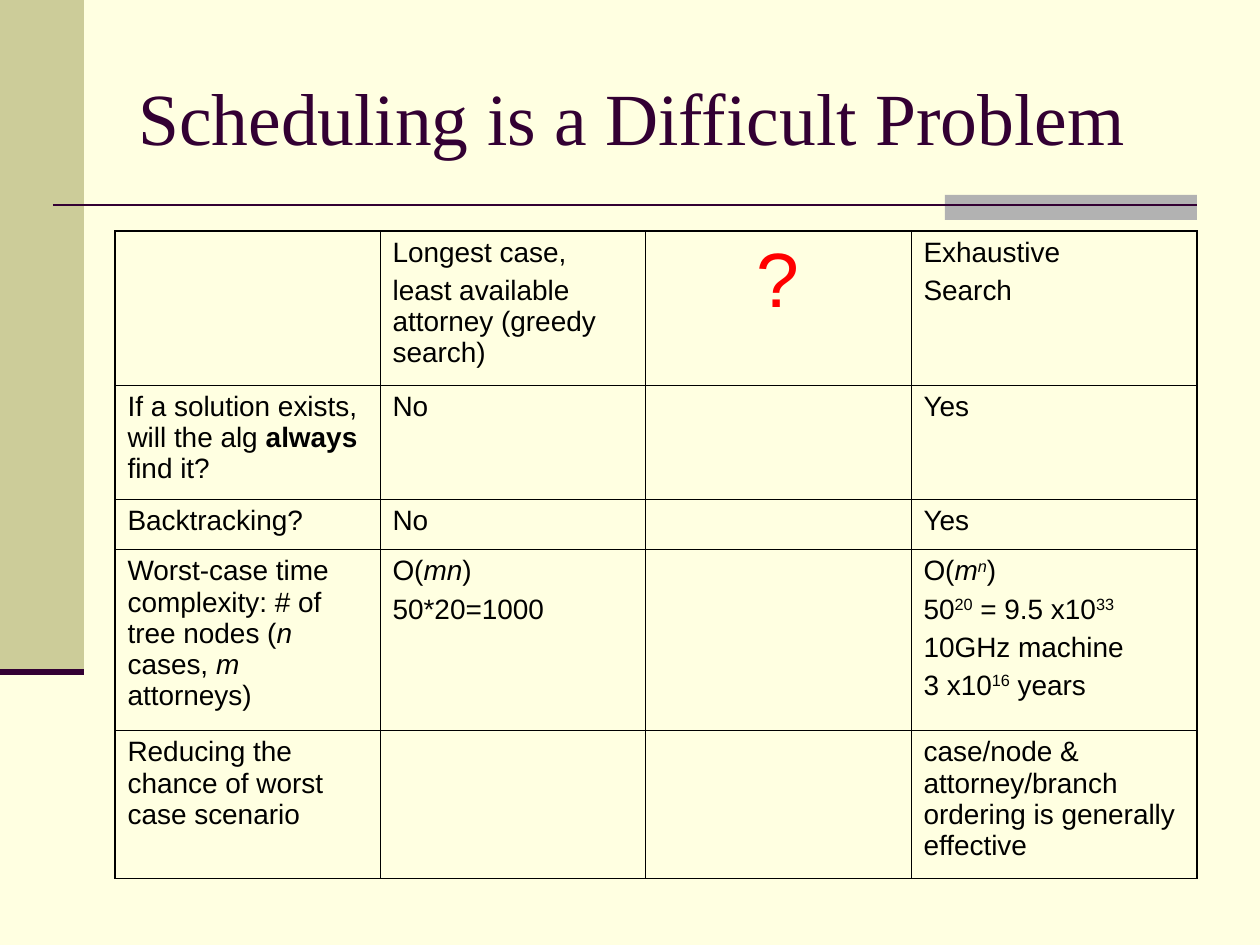
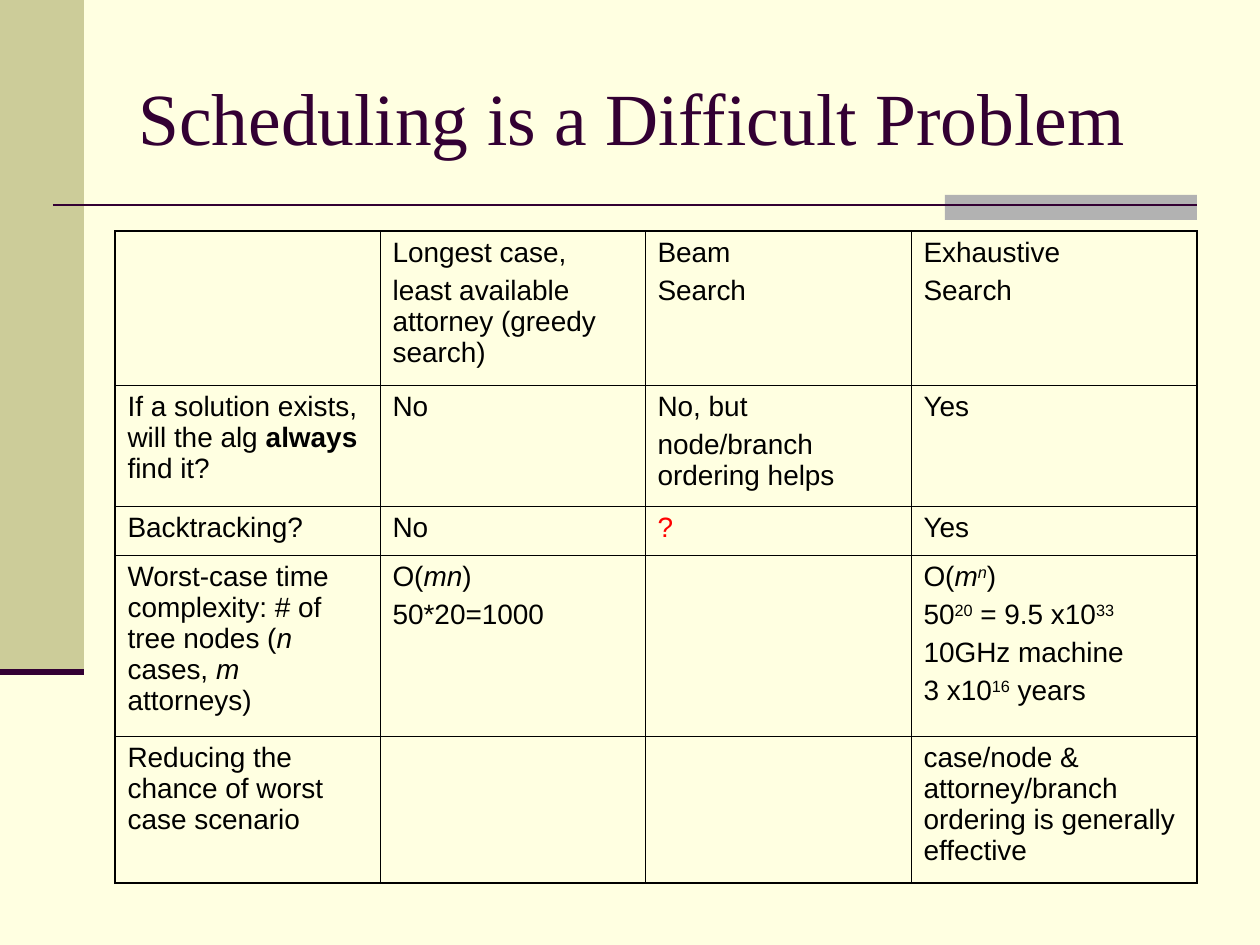
from dataclasses import dataclass

from lxml.etree import SubElement
from pptx import Presentation
from pptx.dml.color import RGBColor
from pptx.enum.shapes import MSO_CONNECTOR, MSO_SHAPE
from pptx.enum.text import MSO_ANCHOR, PP_ALIGN
from pptx.oxml import parse_xml
from pptx.oxml.ns import nsdecls, qn
from pptx.util import Pt


@dataclass(frozen=True)
class Theme:
    paper: str = "FFFFE1"
    olive: str = "CCCC99"
    grey: str = "B2B2B2"
    plum: str = "330033"
    ink: str = "000000"
    red: str = "FF0000"
    title_font: str = "Times New Roman"
    body_font: str = "Arial"
    title_size: int = 42
    body_size: int = 16
    question_size: int = 44
    grid_line: float = 0.45
    frame_line: float = 1.08


THEME = Theme()
EMU_PER_PX = 914400 / 126


def px(length):
    return round(length * EMU_PER_PX)


def write(frame, paragraphs, font=THEME.body_font, size=THEME.body_size,
          color=THEME.ink, align=PP_ALIGN.LEFT, gap=4):
    """Fill a text frame; a paragraph is a string or a list of (text, style) runs.

    A style is any mix of the letters b (bold), i (italic) and ^ (superscript).
    """
    frame.word_wrap = True
    for index, content in enumerate(paragraphs):
        paragraph = frame.paragraphs[0] if index == 0 else frame.add_paragraph()
        paragraph.alignment = align
        paragraph.space_before = Pt(gap if index else 0)
        runs = [(content, "")] if isinstance(content, str) else content
        for text, style in runs:
            run = paragraph.add_run()
            run.text = text
            run.font.name = font
            run.font.size = Pt(size)
            run.font.color.rgb = RGBColor.from_string(color)
            run.font.bold = "b" in style
            run.font.italic = "i" in style
            if "^" in style:
                run._r.get_or_add_rPr().set("baseline", "30000")


# Bands: left, top, width, height, colour
BANDS = [(0, 0, 84, 672, THEME.olive), (945, 195, 252, 25, THEME.grey)]
# Rules: left, right, height on the slide, thickness in points
RULES = [(53, 1197, 205, 1.5), (0, 84, 672, 3.5)]

COLUMN_WIDTHS = [265, 265, 266, 286]
QUESTIONS = [
    [],
    [[("If a solution exists, will the alg ", ""), ("always", "b"), (" find it?", "")]],
    ["Backtracking?"],
    [[("Worst-case time complexity: # of tree nodes (", ""), ("n", "i"),
      (" cases, ", ""), ("m", "i"), (" attorneys)", "")]],
    ["Reducing the chance of worst case scenario"],
]
GREEDY = [
    ["Longest case,", "least available attorney (greedy search)"],
    ["No"],
    ["No"],
    [[("O(", ""), ("mn", "i"), (")", "")], "50*20=1000"],
    [],
]
EXHAUSTIVE = [
    ["Exhaustive", "Search"],
    ["Yes"],
    ["Yes"],
    [[("O(", ""), ("m", "i"), ("n", "i^"), (")", "")],
     [("50", ""), ("20", "^"), (" = 9.5 x10", ""), ("33", "^")],
     "10GHz machine",
     [("3 x10", ""), ("16", "^"), (" years", "")]],
    ["case/node & attorney/branch ordering is generally effective"],
]

# Each slide: row heights, third column, format of its red question mark
SLIDES = [
    ([154, 114, 49, 181, 148],
     [["?"], [], [], [], []],
     {"color": THEME.red, "size": THEME.question_size, "align": PP_ALIGN.CENTER}),
    ([154, 121, 49, 181, 147],
     [["Beam", "Search"], ["No, but", "node/branch ordering helps"], ["?"], [], []],
     {"color": THEME.red}),
]

deck = Presentation()
deck.slide_width = px(1260)
deck.slide_height = px(945)

for row_heights, third_option, question_format in SLIDES:
    slide = deck.slides.add_slide(deck.slide_layouts[6])
    slide.background.fill.solid()
    slide.background.fill.fore_color.rgb = RGBColor.from_string(THEME.paper)

    for left, top, width, height, color in BANDS:
        band = slide.shapes.add_shape(MSO_SHAPE.RECTANGLE, px(left), px(top),
                                      px(width), px(height))
        band.shadow.inherit = False
        band.fill.solid()
        band.fill.fore_color.rgb = RGBColor.from_string(color)
        band.line.fill.background()

    for left, right, level, thickness in RULES:
        rule = slide.shapes.add_connector(MSO_CONNECTOR.STRAIGHT, px(left), px(level),
                                          px(right), px(level))
        rule.line.color.rgb = RGBColor.from_string(THEME.plum)
        rule.line.width = Pt(thickness)
        SubElement(rule._element.spPr, qn("a:effectLst"))

    title = slide.shapes.add_textbox(px(126), px(38), px(1071), px(157)).text_frame
    title.vertical_anchor = MSO_ANCHOR.MIDDLE
    write(title, ["Scheduling is a Difficult Problem"], font=THEME.title_font,
          size=THEME.title_size, color=THEME.plum)

    columns = [QUESTIONS, GREEDY, third_option, EXHAUSTIVE]
    comparison = slide.shapes.add_table(
        len(row_heights), len(columns), px(115), px(231),
        px(sum(COLUMN_WIDTHS)), px(sum(row_heights))).table
    comparison.first_row = False
    comparison.horz_banding = False
    for row, height in zip(comparison.rows, row_heights):
        row.height = px(height)

    last_row, last_column = len(row_heights) - 1, len(columns) - 1
    for c, answers in enumerate(columns):
        comparison.columns[c].width = px(COLUMN_WIDTHS[c])
        for r, paragraphs in enumerate(answers):
            cell = comparison.cell(r, c)
            cell.fill.background()
            cell.margin_left = cell.margin_right = px(12.6)
            cell.margin_top = cell.margin_bottom = px(6.3)
            write(cell.text_frame, paragraphs,
                  **(question_format if paragraphs == ["?"] else {}))

            on_frame = {"L": c == 0, "R": c == last_column,
                        "T": r == 0, "B": r == last_row}
            for position, (side, is_outer) in enumerate(on_frame.items()):
                thickness = THEME.frame_line if is_outer else THEME.grid_line
                border = parse_xml(
                    f'<a:ln{side} {nsdecls("a")} w="{Pt(thickness)}"><a:solidFill>'
                    f'<a:srgbClr val="{THEME.ink}"/></a:solidFill></a:ln{side}>')
                cell._tc.get_or_add_tcPr().insert(position, border)

deck.save("out.pptx")
